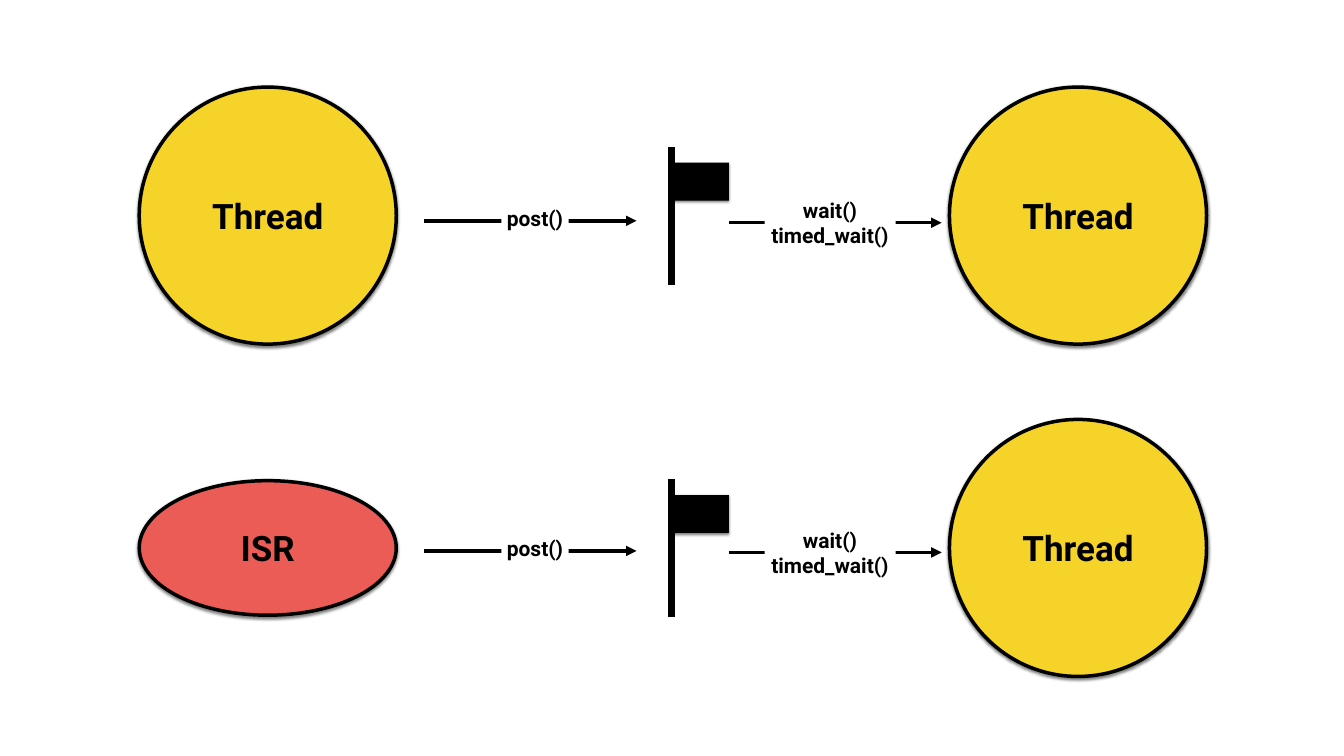
from lxml import etree
from pptx import Presentation
from pptx.dml.color import RGBColor
from pptx.enum.shapes import MSO_CONNECTOR, MSO_SHAPE
from pptx.enum.text import MSO_ANCHOR, MSO_AUTO_SIZE, PP_ALIGN
from pptx.oxml import parse_xml
from pptx.oxml.ns import nsdecls, qn
from pptx.util import Pt

BLACK = RGBColor(0x00, 0x00, 0x00)
WHITE = RGBColor(0xFF, 0xFF, 0xFF)
YELLOW = RGBColor(0xF5, 0xD3, 0x28)
RED = RGBColor(0xEC, 0x5C, 0x57)

SHADOW = (
    f'<a:effectLst {nsdecls("a")}>'
    f'<a:outerShdw blurRad="{Pt(4)}" dist="{Pt(2)}" dir="5400000" rotWithShape="0">'
    '<a:srgbClr val="000000"><a:alpha val="50000"/></a:srgbClr>'
    '</a:outerShdw></a:effectLst>'
)

deck = Presentation()
deck.slide_width, deck.slide_height = Pt(1920), Pt(1080)
page = deck.slides.add_slide(deck.slide_layouts[6])


def add_box(kind, center_x, center_y, width, height, fill=None, outline=0,
            shadow=False, lines=(), size=30):
    """Add a shape around a centre point, with optional shadow and bold text."""
    place = [Pt(value) for value in
             (center_x - width / 2, center_y - height / 2, width, height)]
    if kind is None:
        box = page.shapes.add_textbox(*place)
    else:
        box = page.shapes.add_shape(kind, *place)
        box.shadow.inherit = False
        box.fill.solid()
        box.fill.fore_color.rgb = fill
        if outline:
            box.line.color.rgb = BLACK
            box.line.width = Pt(outline)
        else:
            box.line.fill.background()
    if shadow:
        properties = box._element.spPr
        properties.replace(properties.find(qn("a:effectLst")), parse_xml(SHADOW))
    if lines:
        frame = box.text_frame
        frame_format = {
            "word_wrap": False,
            "auto_size": MSO_AUTO_SIZE.SHAPE_TO_FIT_TEXT,
            "vertical_anchor": MSO_ANCHOR.MIDDLE,
            **{f"margin_{side}": Pt(5.6) for side in ("left", "right", "top", "bottom")},
        }
        for name, value in frame_format.items():
            setattr(frame, name, value)
        for number, text in enumerate(lines):
            para = frame.add_paragraph() if number else frame.paragraphs[0]
            para.alignment = PP_ALIGN.CENTER
            span = para.add_run()
            span.text = text
            span.font.color.rgb = BLACK
            for name, value in {"name": "Roboto", "size": Pt(size), "bold": True}.items():
                setattr(span.font, name, value)
    return box


def add_line(start_x, start_y, end_x, end_y, weight, arrow=False):
    """Add a black line, with an arrowhead at its end if wanted."""
    line = page.shapes.add_connector(
        MSO_CONNECTOR.STRAIGHT, Pt(start_x), Pt(start_y), Pt(end_x), Pt(end_y))
    line.line.color.rgb = BLACK
    line.line.width = Pt(weight)
    if arrow:
        etree.SubElement(line.line._get_or_add_ln(), qn("a:tailEnd"), type="triangle")
    etree.SubElement(line._element.spPr, qn("a:effectLst"))


CIRCLE = 367.2
SENDER_X, POLE_X, RECEIVER_X = 382.5, 960, 1540

# One row per sender: center, name, text width, height, fill, post and wait heights
rows = [
    (308, "Thread", 179.2, CIRCLE, YELLOW, 315.5, 318.2),
    (782.8, "ISR", 95.8, 192.2, RED, 787, 789.2),
]

for center_y, sender, sender_width, sender_height, sender_fill, post_y, wait_y in rows:
    # Sender and receiver
    for center_x, name, name_width, height, fill in (
        (SENDER_X, sender, sender_width, sender_height, sender_fill),
        (RECEIVER_X, "Thread", 179.2, CIRCLE, YELLOW),
    ):
        add_box(MSO_SHAPE.OVAL, center_x, center_y, CIRCLE, height, fill, 5, shadow=True)
        add_box(None, center_x, center_y, name_width, 71.2, lines=[name], size=50)

    # Flag on its pole
    add_line(POLE_X, center_y + 98.6, POLE_X, center_y - 98.6, 10)
    add_box(MSO_SHAPE.RECTANGLE, POLE_X + 40.7, center_y - 48.5, 81.4, 54, BLACK, shadow=True)

    # Arrows with their call labels
    for start_x, line_y, label_x, label_y, width, height, calls in (
        (605.5, post_y, 764.3, post_y - 4.4, 95.8, 47.5, ["post()"]),
        (1041.5, wait_y, 1185.8, wait_y, 187.2, 83.5, ["wait()", "timed_wait()"]),
    ):
        add_line(start_x, line_y, start_x + 303.8, line_y, 5, arrow=True)
        add_box(MSO_SHAPE.RECTANGLE, label_x, label_y, width, height, WHITE, lines=calls)

deck.save("out.pptx")
